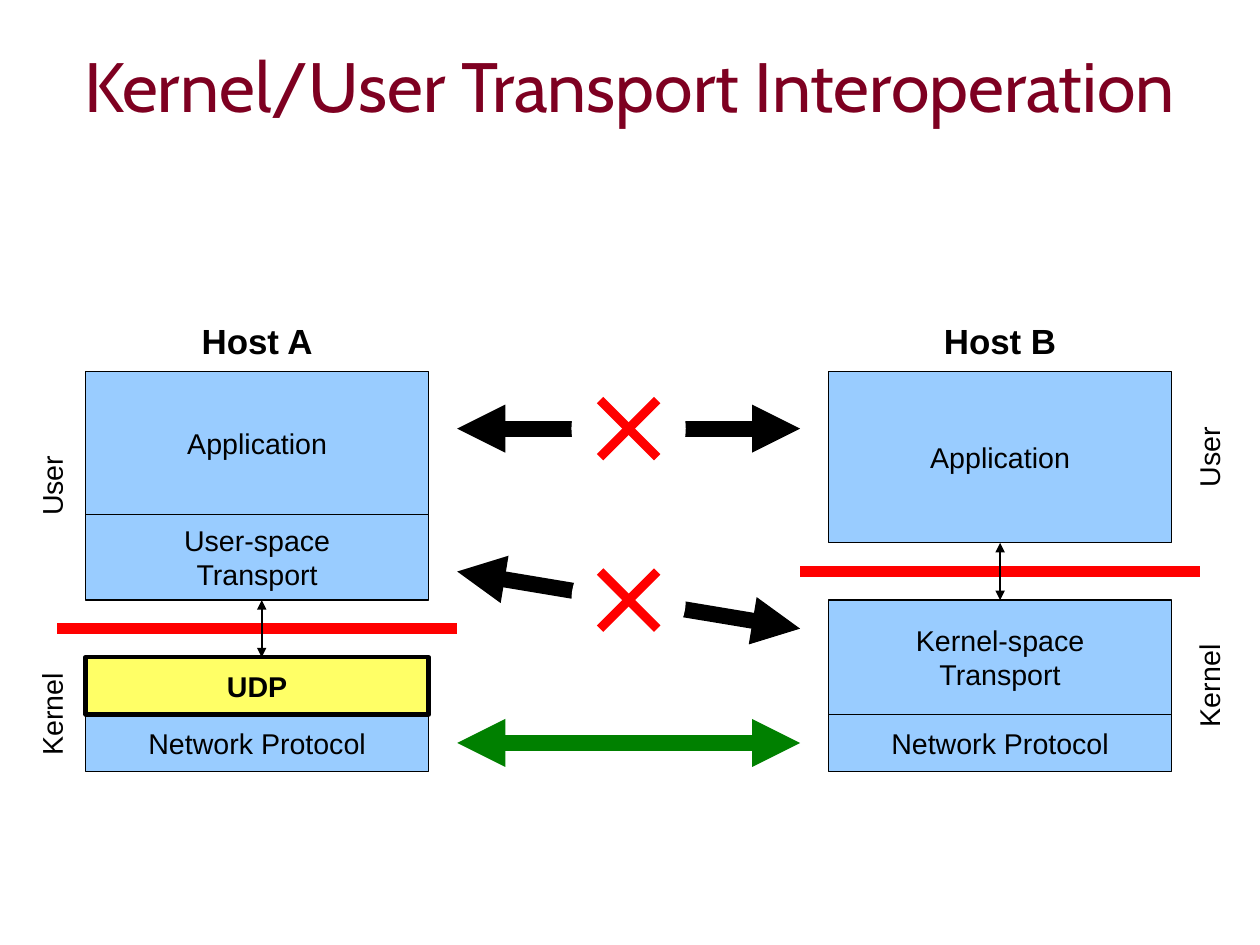
from pptx import Presentation
from pptx.util import Cm, Inches, Pt
from pptx.dml.color import RGBColor
from pptx.enum.shapes import MSO_SHAPE as SHAPE, MSO_CONNECTOR as CONN
from pptx.enum.text import PP_ALIGN as ALIGN, MSO_ANCHOR as ANCHOR, MSO_AUTO_SIZE as FIT
from pptx.oxml.ns import qn
from lxml.etree import SubElement

# Content: all positions are columns and rows of a quarter-inch grid
TITLE = "Kernel/User Transport Interoperation"
HOSTS = [
    dict(name="Host A", col=3, gap=(21, 23), link=9.16, side=1.75, layers=[
        ("Network Protocol", 25, 27, "layer"),
        ("User-space\nTransport", 18, 21, "layer"),
        ("UDP", 23, 25, "udp"),
        ("Application", 13, 18, "layer")]),
    dict(name="Host B", col=29, gap=(19, 21), link=35, side=42.25, layers=[
        ("Network Protocol", 25, 27, "layer"),
        ("Kernel-space\nTransport", 21, 25, "layer"),
        ("Application", 13, 19, "layer")]),
]
PATHS = [(15, 15, "peer"), (20, 22, "peer"), (26, 26, "works")]  # row at A, row at B
BLOCKED = [21, 15]  # centre rows of the crosses
STACK_W, TOP, BOTTOM = 12, 13, 27
A_EDGE, B_EDGE = 16, 28

THEME = {
    "title": dict(name="Cabin", size=44, color="7E0021", bold=False),
    "text": dict(name="Arial", size=18, color="000000", bold=False),
    "strong": dict(name="Arial", size=18, color="000000", bold=True),
    "host": dict(name="Arial", size=22, color="000000", bold=True),
    "layer": dict(fill="99CCFF", line=0, font="text", pad=(0.1, 0.05)),
    "udp": dict(fill="FFFF66", line=2.89, font="strong", pad=(0.12, 0.07)),
    "border": "000000",
    "mask": "FFFFFF",
    "boundary": ("FF0000", 7.2),
    "cross": ("FF0000", 5.75),
    "peer": ("000000", 10.09),
    "works": ("008000", 10.09),
    "link": ("000000", 1.45),
}


def grid(*cells):
    return [Inches(c / 4) for c in cells]


def rgb(key):
    return RGBColor.from_string(key)


def write(tf, text, font, pad=(0.1, 0.05), anchor=ANCHOR.TOP):
    tf.text = text
    frame = dict(word_wrap=True, vertical_anchor=anchor,
                 margin_left=Inches(pad[0]), margin_right=Inches(pad[0]),
                 margin_top=Inches(pad[1]), margin_bottom=Inches(pad[1]))
    for key, value in frame.items():
        setattr(tf, key, value)
    style = THEME[font]
    for p in tf.paragraphs:
        p.alignment = ALIGN.CENTER
        for r in p.runs:
            for key, value in dict(name=style["name"], size=Pt(style["size"]),
                                   bold=style["bold"]).items():
                setattr(r.font, key, value)
            r.font.color.rgb = rgb(style["color"])


def box(shapes, kind, cells, fill):
    s = shapes.add_shape(kind, *grid(*cells))
    s.shadow.inherit = False
    s.fill.solid()
    s.fill.fore_color.rgb = rgb(fill)
    return s


def label(shapes, cells, text, font, rotation=0):
    s = shapes.add_textbox(*grid(*cells))
    write(s.text_frame, text, font)
    s.text_frame.auto_size = FIT.SHAPE_TO_FIT_TEXT
    s.rotation = rotation


def line(shapes, ends, style, arrows=False):
    s = shapes.add_connector(CONN.STRAIGHT, *grid(*ends))
    color, width = THEME[style]
    s.line.color.rgb = rgb(color)
    s.line.width = Pt(width)
    if arrows:
        ln = s.line._get_or_add_ln()
        for tag in ("a:headEnd", "a:tailEnd"):
            SubElement(ln, qn(tag), type="triangle", w="med", len="med")
    SubElement(s._element.spPr, qn("a:effectLst"))


prs = Presentation()
prs.slide_width, prs.slide_height = Cm(28), Cm(21)
W, H = prs.slide_width, prs.slide_height
slide = prs.slides.add_slide(prs.slide_layouts[5])
sp = slide.shapes

# Title
title = sp.title
for key, value in dict(left=0.05 * W, top=-0.01 * H, width=0.9 * W, height=0.2 * H).items():
    setattr(title, key, int(value))
write(title.text_frame, TITLE, "title", (0, 0), ANCHOR.MIDDLE)

# Host stacks with the user/kernel boundary
for host in HOSTS:
    col, (gap_top, gap_end) = host["col"], host["gap"]
    for text, top, end, kind in host["layers"]:
        style = THEME[kind]
        s = box(sp, SHAPE.RECTANGLE, (col, top, STACK_W, end - top), style["fill"])
        s.line.color.rgb = rgb(THEME["border"])
        s.line.width = Pt(style["line"])
        write(s.text_frame, text, style["font"], style["pad"], ANCHOR.MIDDLE)
    middle = (gap_top + gap_end) / 2
    line(sp, (col - 1, middle, col + STACK_W + 1, middle), "boundary")
    line(sp, (host["link"], gap_top, host["link"], gap_end), "link", True)
    label(sp, (col, TOP - 2, STACK_W, 2), host["name"], "host")
    # Side labels, turned about the centre of the part they name
    for text, top, end in (("Kernel", gap_end, BOTTOM), ("User", TOP, gap_top)):
        span, thick = end - top, 1.5
        label(sp, (host["side"] - span / 2, (top + end - thick) / 2, span, thick),
              text, "text", 270)

# Paths between the hosts
for row_a, row_b, style in PATHS:
    line(sp, (A_EDGE, row_a, B_EDGE, row_b), style, True)

# Crosses over the blocked paths
x = (A_EDGE + B_EDGE) / 2
for y in BLOCKED:
    cross = sp.add_group_shape().shapes
    s = box(cross, SHAPE.OVAL, (x - 2, y - 2, 4, 4), THEME["mask"])
    s.line.fill.background()
    for d in (1, -1):
        line(cross, (x - 1, y - d, x + 1, y + d), "cross")

prs.save("out.pptx")
